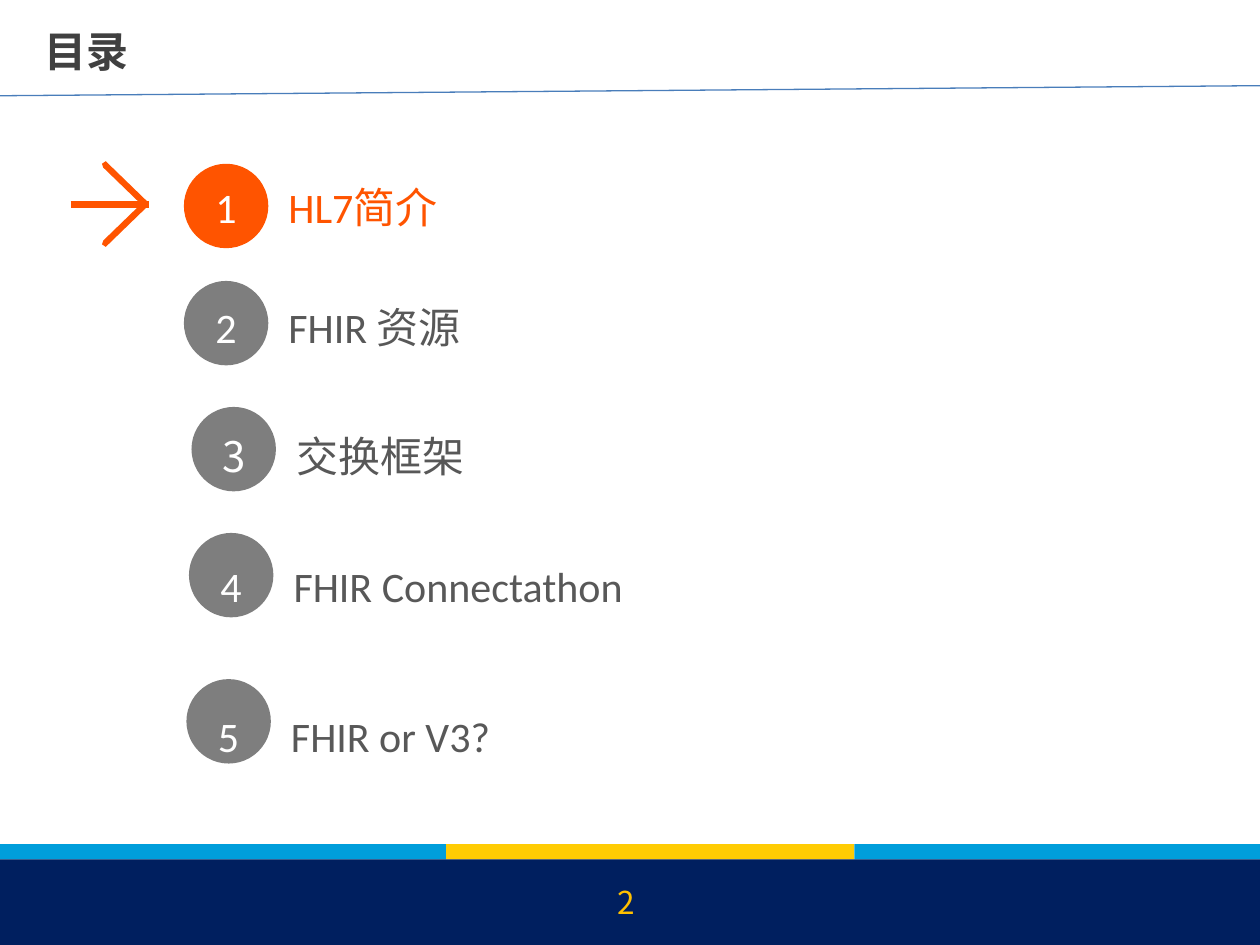
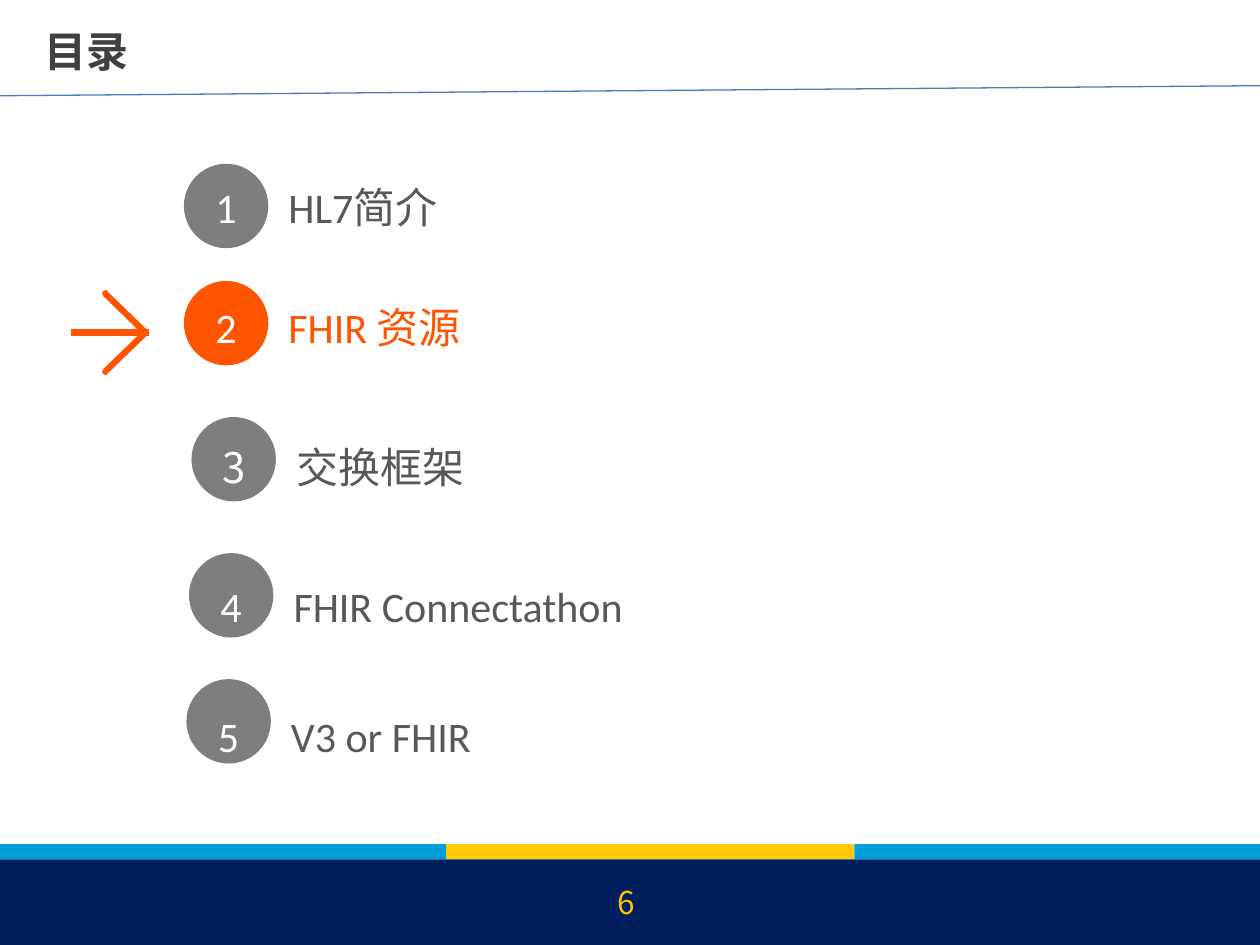
from dataclasses import dataclass

from lxml import etree
from pptx import Presentation, util as u
from pptx.dml.color import RGBColor
from pptx.enum import shapes, text
from pptx.oxml.ns import qn

COLORS = {
    "sky": "009EDB", "navy": "001F5F", "yellow": "FFCC03", "rule": "497DBA",
    "active": "FF5400", "circle": "7E7E7E", "label": "585858",
    "title": "404040", "page": "FFC000", "white": "FFFFFF",
}
LATIN, CJK = "Calibri", "Noto Sans CJK SC"
DIAMETER = 0.67
NUMBER_INSET = 0.25   # circle edge to number
LABEL_INDENT = 0.58   # number to label


@dataclass
class Run:
    text: str
    font: str = LATIN


@dataclass
class Item:
    left: float
    top: float
    drop: float       # circle top to text top
    runs: list[Run]


@dataclass
class Agenda:
    page: int
    active: int
    arrow_y: float
    items: list[Item]


def rgb(name: str) -> RGBColor:
    return RGBColor.from_string(COLORS[name])


def paint(sp, color: str) -> None:
    sp.shadow.inherit = False
    sp.fill.solid()
    sp.fill.fore_color.rgb = rgb(color)
    sp.line.fill.background()


def add_preset(s, kind, box: tuple, color: str) -> None:
    paint(s.shapes.add_shape(kind, *map(u.Inches, box)), color)


def add_line(s, start: tuple, end: tuple, color: str, width: float) -> None:
    line = s.shapes.add_connector(
        shapes.MSO_CONNECTOR.STRAIGHT, *map(u.Inches, start + end))
    line.line.color.rgb = rgb(color)
    line.line.width = u.Pt(width)
    etree.SubElement(line._element.spPr, qn("a:effectLst"))


def add_outline(s, points: list[tuple], color: str) -> None:
    corners = [(u.Inches(x), u.Inches(y)) for x, y in points]
    fb = s.shapes.build_freeform(*corners[0])
    fb.add_line_segments(corners[1:], close=True)
    paint(fb.convert_to_shape(), color)


def add_text(s, box: tuple, runs: list[Run], color: str, size: float,
             bold: bool = False, before: float = 0):
    tf = s.shapes.add_textbox(*map(u.Inches, box)).text_frame
    frame = {"word_wrap": True, "vertical_anchor": text.MSO_ANCHOR.TOP,
             "margin_left": 0, "margin_top": 0,
             "margin_right": 0, "margin_bottom": 0}
    for name, value in frame.items():
        setattr(tf, name, value)
    p = tf.paragraphs[0]
    p.space_before = u.Pt(before)
    for run in runs:
        r = p.add_run()
        r.text = run.text
        for name, value in {"name": run.font, "size": u.Pt(size), "bold": bold}.items():
            setattr(r.font, name, value)
        r.font.color.rgb = rgb(color)
        if run.font == CJK:
            etree.SubElement(r._r.get_or_add_rPr(), qn("a:ea"), typeface=CJK)
    return p


def number(p, value: int) -> None:
    """Give the paragraph a white automatic number."""
    pPr = p._p.get_or_add_pPr()
    indent = u.Inches(LABEL_INDENT)
    pPr.set("marL", str(indent))
    pPr.set("indent", str(-indent))
    color = etree.SubElement(pPr, qn("a:buClr"))
    etree.SubElement(color, qn("a:srgbClr"), val=COLORS["white"])
    etree.SubElement(pPr, qn("a:buAutoNum"), type="arabicPlain", startAt=str(value))


def add_frame(s, page: int) -> None:
    # Footer bands and page number
    rect = shapes.MSO_SHAPE.RECTANGLE
    edges = [0, 3.54, 6.78, 10]
    for left, right, color in zip(edges, edges[1:], ["sky", "yellow", "sky"]):
        add_preset(s, rect, (left, 6.7, right - left, 0.12), color)
    add_preset(s, rect, (0, 6.82, 10, 0.68), "navy")
    add_text(s, (4.9, 7.01, 0.3, 0.33), [Run(str(page), CJK)], "page", 18, before=2)
    # Title and sloping rule
    add_text(s, (0.35, 0.2, 4.6, 0.45), [Run("目录", CJK)], "title", 24,
             bold=True, before=1)
    add_line(s, (0, 0.76), (10, 0.68), "rule", 0.75)


def add_arrow(s, y: float) -> None:
    """Draw an arrow with its tip at height y."""
    barb = [(1.15, -0.03), (0.82, 0.29), (0.81, 0.32), (0.84, 0.34),
            (1.17, 0.02), (1.18, 0)]
    for side in (-1, 1):
        add_outline(s, [(x, y + side * dy) for x, dy in barb], "active")
    add_line(s, (0.56, y), (1.18, y), "active", 4)


def add_item(s, item: Item, value: int, active: bool) -> None:
    add_preset(s, shapes.MSO_SHAPE.OVAL,
               (item.left, item.top, DIAMETER, DIAMETER),
               "active" if active else "circle")
    p = add_text(s, (item.left + NUMBER_INSET, item.top + item.drop, 3.2, 0.45),
                 item.runs, "active" if active else "label", 24)
    number(p, value)


def agenda_items(third_top: float, fourth_top: float, last: str) -> list[Item]:
    return [
        Item(1.46, 1.3, 0.14, [Run("HL7"), Run("简介", CJK)]),
        Item(1.46, 2.23, 0.16, [Run("FHIR "), Run("资源", CJK)]),
        Item(1.52, third_top, 0.19, [Run("交换框架", CJK)]),
        Item(1.5, fourth_top, 0.22, [Run("FHIR Connectathon")]),
        Item(1.48, 5.39, 0.25, [Run(last)]),
    ]


AGENDAS = [
    Agenda(2, 1, 1.62, agenda_items(3.23, 4.23, "FHIR or V3?")),
    Agenda(6, 2, 2.64, agenda_items(3.31, 4.39, "V3 or FHIR")),
]

prs = Presentation()
prs.slide_width, prs.slide_height = u.Inches(10), u.Inches(7.5)
for agenda in AGENDAS:
    s = prs.slides.add_slide(prs.slide_layouts[6])
    add_frame(s, agenda.page)
    add_arrow(s, agenda.arrow_y)
    for value, item in enumerate(agenda.items, 1):
        add_item(s, item, value, value == agenda.active)
prs.save("out.pptx")
